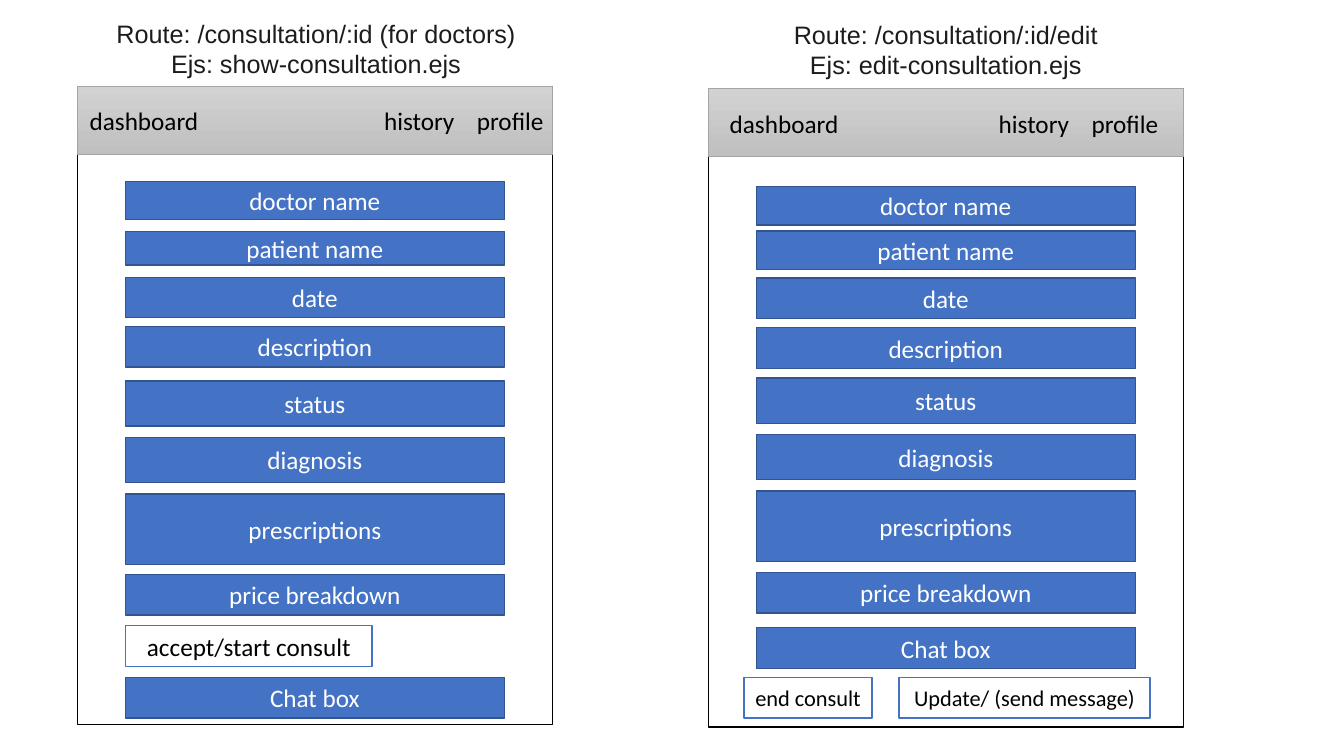
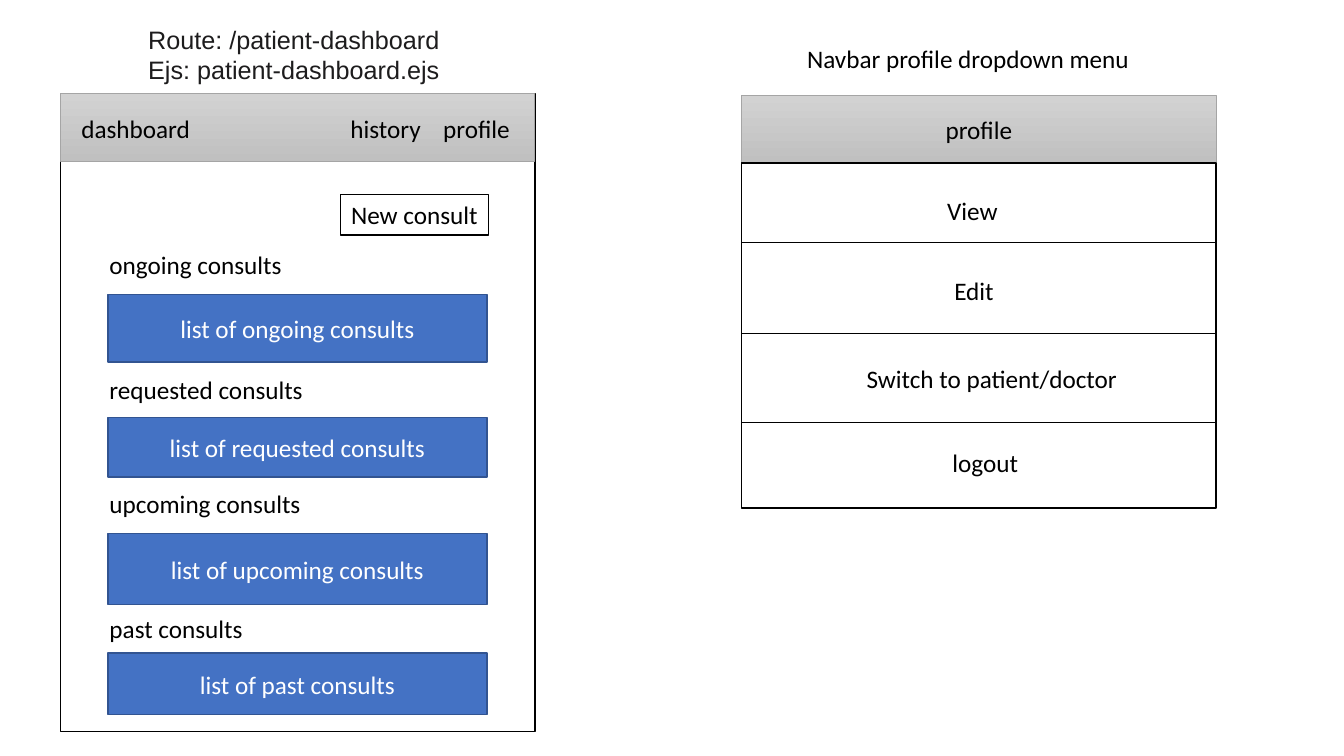
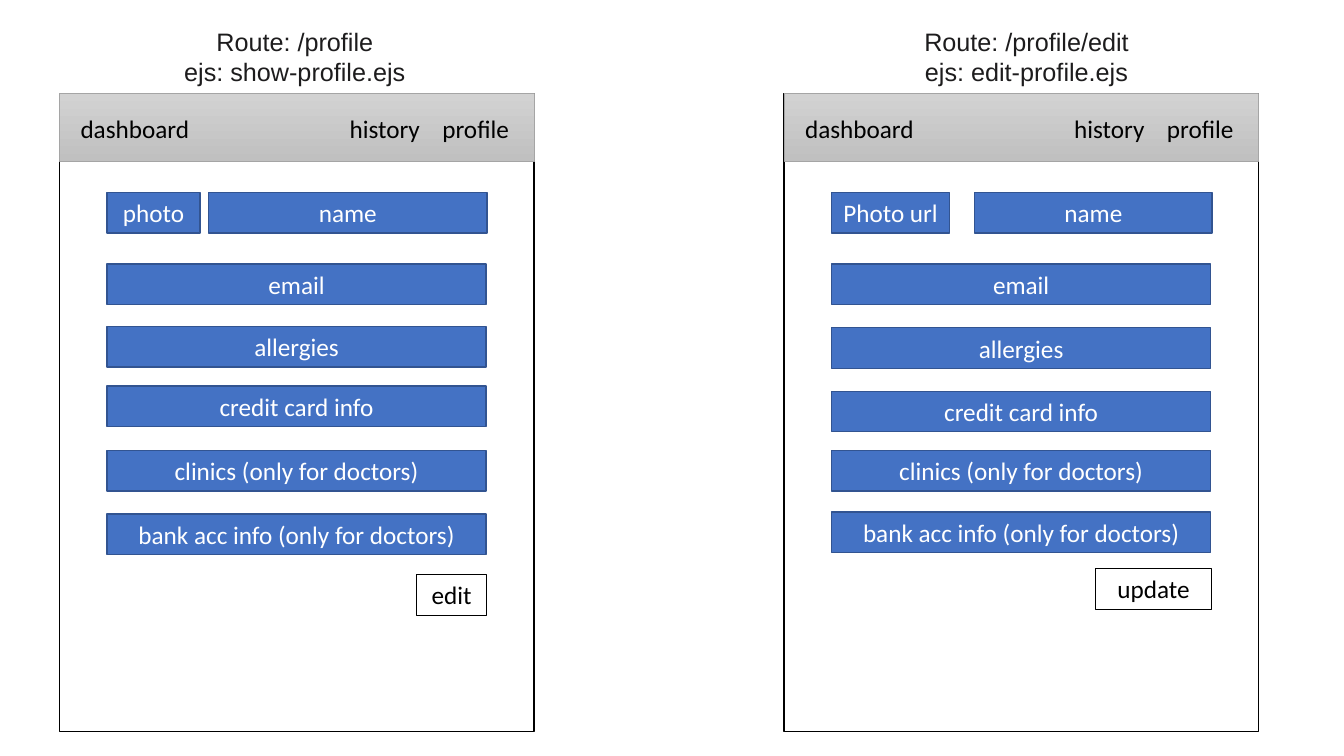
from dataclasses import dataclass

from lxml import etree
from pptx import Presentation
from pptx import util as u
from pptx.dml.color import RGBColor
from pptx.enum import shapes, text
from pptx.oxml.ns import qn


@dataclass(frozen=True)
class Theme:
    blue: str = "4472C4"
    edge: str = "325491"
    black: str = "000000"
    white: str = "FFFFFF"
    title: str = "1D1C1D"
    bar_top: str = "D2D2D2"
    bar_bottom: str = "C0C0C0"
    bar_edge: str = "A5A5A5"
    body_font: str = "Calibri"
    title_font: str = "Arial"
    size: int = 18
    small: int = 16


T = Theme()
PANEL_W, PANEL_H, BAR_H = 11.96, 16.08, 1.7
FIELD_X, FIELD_W, LINE_H = 1.2, 9.55, 1.02
NAV_Y, NAV_TAB = 0.36, 2.34

# fields: label, top, height, offset, width; buttons: label, offset, top, width
SHOW_CONSULT = dict(
    at=(1.96, 2.18), title_at=(2.01, 0.33, 11.91), nav=(0.05, 7.47),
    title=("Route: /consultation/:id (for doctors)", "Ejs: show-consultation.ejs"),
    fields=[("doctor name", 4.57, 0.97), ("patient name", 5.84, 0.84),
            ("date", 6.99), ("description", 8.23), ("status", 9.6, 1.14),
            ("diagnosis", 11.02, 1.14), ("prescriptions", 12.45, 1.78),
            ("price breakdown", 14.48), ("Chat box", 17.07)],
    buttons=[("accept/start consult", 1.2, 15.77, 6.22)],
    button_style=(T.blue, 1, T.size))

EDIT_CONSULT = dict(
    at=(17.86, 2.24), title_at=(18.59, 0.36, 10.49),
    title=("Route: /consultation/:id/edit", "Ejs: edit-consultation.ejs"),
    fields=[("doctor name", 4.7, 0.97), ("patient name", 5.82, 0.97),
            ("date", 7.01), ("description", 8.26), ("status", 9.53, 1.14),
            ("diagnosis", 10.95, 1.14), ("prescriptions", 12.37, 1.78),
            ("price breakdown", 14.43), ("Chat box", 15.82)],
    buttons=[("end consult", 0.89, 17.07, 3.23),
             ("Update/ (send message)", 4.8, 17.07, 6.32)],
    button_style=(T.blue, 1, T.small))

PATIENT_DASHBOARD = dict(
    at=(1.52, 2.36), title_at=(3.43, 0.48, 7.95),
    title=("Route: /patient-dashboard", "Ejs: patient-dashboard.ejs"),
    headings=[("ongoing consults", 6.17), ("requested consults", 9.3),
              ("upcoming consults", 12.17), ("past consults", 15.32)],
    fields=[("list of ongoing consults", 7.42, 1.7),
            ("list of requested consults", 10.52, 1.5),
            ("list of upcoming consults", 13.44, 1.8),
            ("list of past consults", 16.46, 1.55)],
    buttons=[("New consult", 7.06, 4.9, 3.73)],
    button_style=(T.black, 1, T.size))

SHOW_PROFILE = dict(
    at=(1.5, 2.36), title_at=(3.86, 0.53, 7.14),
    title=("Route: /profile", "ejs: show-profile.ejs"),
    fields=[("photo", 4.85, LINE_H, 1.2, 2.34), ("name", 4.85, LINE_H, 3.76, 7.01),
            ("email", 6.65), ("allergies", 8.23), ("credit card info", 9.73),
            ("clinics (only for doctors)", 11.35),
            ("bank acc info (only for doctors)", 12.95)],
    buttons=[("edit", 8.99, 14.48, 1.78)],
    button_style=(T.black, 0.75, T.size))

EDIT_PROFILE = dict(
    at=(19.76, 2.36), title_at=(22.3, 0.53, 7.14),
    title=("Route: /profile/edit", "ejs: edit-profile.ejs"),
    fields=[("Photo url", 4.85, LINE_H, 1.2, 2.97), ("name", 4.85, LINE_H, 4.8, 5.99),
            ("email", 6.65), ("allergies", 8.26), ("credit card info", 9.86),
            ("clinics (only for doctors)", 11.35),
            ("bank acc info (only for doctors)", 12.9)],
    buttons=[("update", 7.85, 14.33, 2.92)],
    button_style=(T.black, 0.75, T.size))

DROPDOWN = dict(
    at=(18.69, 2.41), list_h=8.69, bar="profile",
    caption=("Navbar profile dropdown menu", 20.09, 0.97, 9.17),
    items=[("View", 23.62, 4.8, 2.11), ("Edit", 23.8, 6.81, 2.11),
           ("Switch to patient/doctor", 21.59, 9.02, 7.49),
           ("logout", 23.75, 11.15, 2.59)],
    rules=[6.1, 8.41, 10.64])

SLIDES = [([SHOW_CONSULT, EDIT_CONSULT], None),
          ([PATIENT_DASHBOARD], DROPDOWN),
          ([SHOW_PROFILE, EDIT_PROFILE], None)]


def rgb(value):
    return RGBColor.from_string(value)


def write(sp, lines, color, size=T.size, font=T.body_font, center=True):
    tf = sp.text_frame
    for i, line in enumerate(lines):
        p = tf.paragraphs[0] if i == 0 else tf.add_paragraph()
        p.alignment = text.PP_ALIGN.CENTER if center else text.PP_ALIGN.LEFT
        r = p.add_run()
        r.text = line
        r.font.size, r.font.name = u.Pt(size), font
        r.font.color.rgb = rgb(color)
    return tf


def box(s, x, y, w, h, line, fill=None, weight=1):
    sp = s.shapes.add_shape(shapes.MSO_SHAPE.RECTANGLE,
                            u.Cm(x), u.Cm(y), u.Cm(w), u.Cm(h))
    sp.shadow.inherit = False
    if fill:
        sp.fill.solid()
        sp.fill.fore_color.rgb = rgb(fill)
    else:
        sp.fill.background()
    sp.line.color.rgb = rgb(line)
    sp.line.width = u.Pt(weight)
    return sp


def label(s, lines, x, y, w, h=LINE_H, color=T.black, **style):
    sp = s.shapes.add_textbox(u.Cm(x), u.Cm(y), u.Cm(w), u.Cm(h))
    sp.text_frame.word_wrap = True
    return write(sp, lines, color, **style)


def bar(s, x, y):
    sp = box(s, x, y, PANEL_W, BAR_H, T.bar_edge, weight=0.5)
    sp.fill.gradient()
    sp.fill.gradient_angle = 270
    for stop, color in zip(sp.fill.gradient_stops, (T.bar_top, T.bar_bottom)):
        stop.color.rgb = rgb(color)
    return sp


def nav_bar(s, x, y, home_x, menu_x):
    bar(s, x, y)
    label(s, ["dashboard"], x + home_x, y + NAV_Y, 3.48, center=False)
    tf = label(s, ["history\tprofile"], x + menu_x, y + NAV_Y, 4.9, center=False)
    tabs = etree.SubElement(tf.paragraphs[0]._p.get_or_add_pPr(), qn("a:tabLst"))
    etree.SubElement(tabs, qn("a:tab"), pos=str(u.Cm(NAV_TAB)), algn="l")


def screen(s, at, title_at, title, fields, buttons, button_style,
           headings=(), nav=(0.28, 7.06)):
    x, y = at
    label(s, title, *title_at, h=1.8, color=T.title, font=T.title_font)
    box(s, x, y, PANEL_W, PANEL_H, T.black)
    nav_bar(s, x, y, *nav)
    for name, top in headings:
        label(s, [name], x + 0.99, top, 9.8, center=False)
    for name, top, *rest in fields:
        h, dx, w = rest + [LINE_H, FIELD_X, FIELD_W][len(rest):]
        write(box(s, x + dx, top, w, h, T.edge, T.blue), [name], T.white)
    line, weight, size = button_style
    for name, dx, top, w in buttons:
        sp = box(s, x + dx, top, w, LINE_H, line, T.white, weight)
        write(sp, [name], T.black, size).word_wrap = False


def dropdown(s, at, list_h, bar, caption, items, rules, draw_bar):
    x, y = at
    write(draw_bar(s, x, y), [bar], T.black)
    box(s, x, y + BAR_H, PANEL_W, list_h, T.black)
    for name, *place in [caption] + items:
        label(s, [name], *place, center=False)
    for top in rules:
        c = s.shapes.add_connector(shapes.MSO_CONNECTOR.STRAIGHT, u.Cm(x), u.Cm(top),
                                   u.Cm(x + PANEL_W), u.Cm(top))
        c.line.color.rgb = rgb(T.black)
        c.line.width = u.Pt(0.5)
        etree.SubElement(c._element.spPr, qn("a:effectLst"))


prs = Presentation()
prs.slide_width, prs.slide_height = u.Cm(33.87), u.Cm(19.05)
for screens, menu in SLIDES:
    s = prs.slides.add_slide(prs.slide_layouts[6])
    for content in screens:
        screen(s, **content)
    if menu:
        dropdown(s, **menu, draw_bar=bar)
prs.save("out.pptx")
